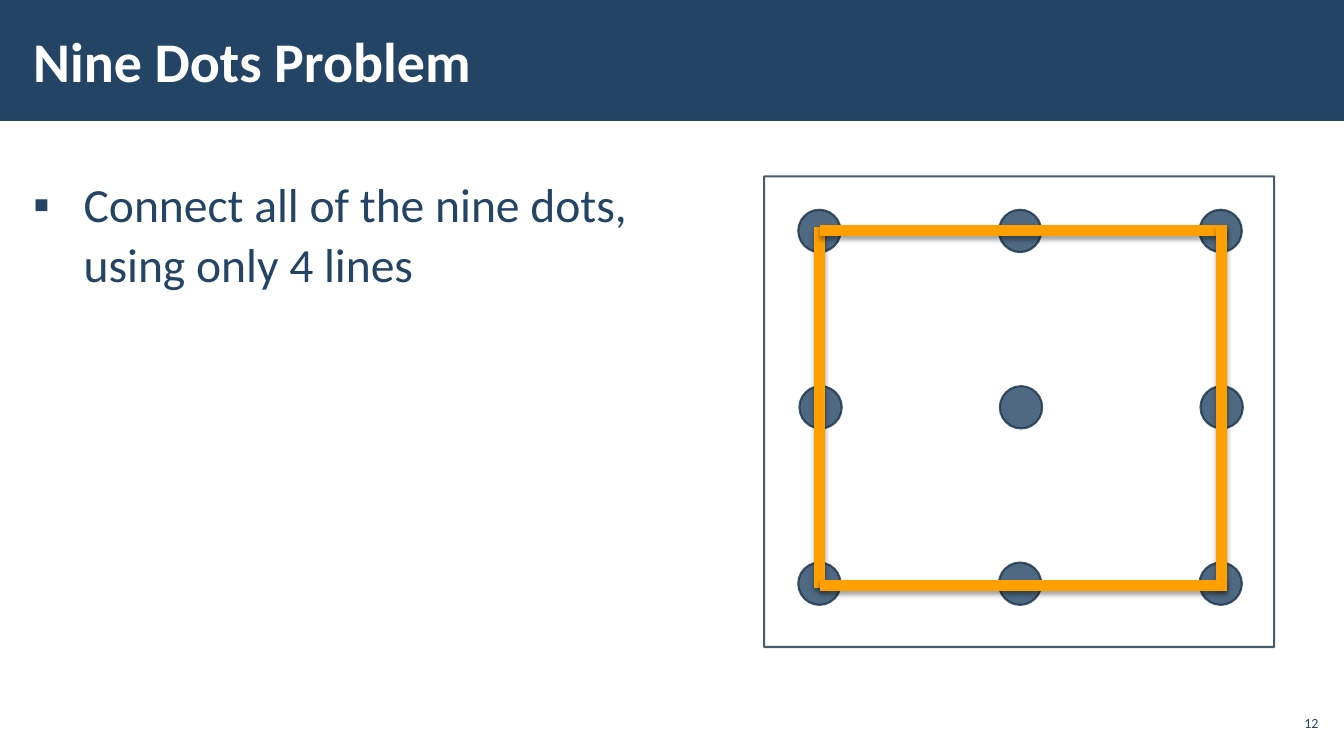
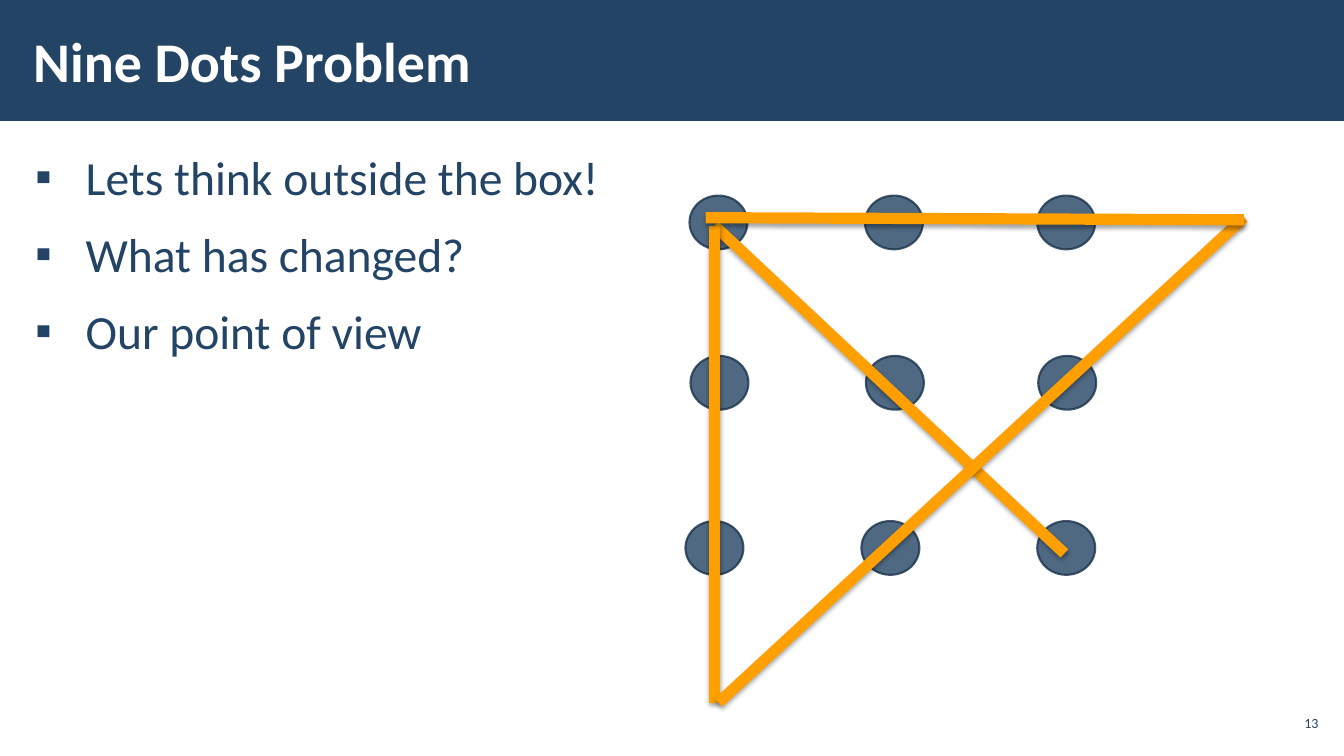
import pptx
import pptx.util
import pptx.dml.color
import pptx.enum.shapes
import pptx.enum.text
import pptx.oxml
import pptx.oxml.ns
import lxml.etree

Pt = pptx.util.Pt
RGBColor = pptx.dml.color.RGBColor
SHAPE = pptx.enum.shapes.MSO_SHAPE
ANCHOR = pptx.enum.text.MSO_ANCHOR
ALIGN = pptx.enum.text.PP_ALIGN
qn = pptx.oxml.ns.qn

NAVY = RGBColor(0x23, 0x44, 0x65)
OUTLINE = RGBColor(0x1A, 0x33, 0x4C)
ORANGE = RGBColor(0xFF, 0xA0, 0x00)
WHITE = RGBColor(0xFF, 0xFF, 0xFF)
FONT = "Calibri"
WIDTH, HEIGHT = 960, 540
BAND_HEIGHT = 86.4
WIDE_INSETS = (8.64, 2.88)
NARROW_INSETS = (2.88, 2.88)

PUZZLES = [
    {
        "title": "Nine Dots Problem",
        "number": "12",
        "bullets": ["Connect all of the nine dots,\vusing only 4 lines"],
        "bullets_at": (15.12, 120.24),
        "dot_size": (30.24, 30.24),
        "dot_rows": [
            (149.8, (570.2, 713.5, 856.8)),
            (275.8, (571, 714.2, 857.5)),
            (401.8, (570.2, 713.5, 856.8)),
        ],
        "box": (545.8, 126, 364.3, 336.2),
        "strokes": [
            (585.4, 419.8, 585.4, 162),
            (876.2, 164.9, 585.4, 164.9),
            (872.6, 419.8, 872.6, 162),
            (876.2, 418.3, 585.4, 418.3),
        ],
    },
    {
        "title": "Nine Dots Problem",
        "number": "13",
        "bullets": ["Lets think outside the box!", "What has changed?", "Our point of view"],
        "bullets_at": (16.56, 100.8),
        "dot_size": (41.4, 38.4),
        "dot_rows": [
            (139.7, (492.5, 617.8, 740.9)),
            (254.2, (493.2, 618.5, 741.6)),
            (372.2, (489.6, 615.3, 740.9)),
        ],
        "box": None,
        "strokes": [
            (760.3, 395.3, 510.5, 161.3),
            (510.5, 161.3, 510.5, 501.8),
            (513.4, 501.8, 888.5, 155.5),
            (888.5, 157, 504, 155.5),
        ],
    },
]


def points(values):
    return [Pt(value) for value in values]


def style_font(paragraph, size, color, bold=False):
    font = paragraph.font
    font.name, font.size, font.bold = FONT, Pt(size), bold
    font.color.rgb = color


def add_text(slide, area, lines, insets, anchor, size, color, bold=False):
    frame = slide.shapes.add_textbox(*points(area)).text_frame
    frame.word_wrap = True
    frame.vertical_anchor = anchor
    frame.margin_left = frame.margin_right = Pt(insets[0])
    frame.margin_top = frame.margin_bottom = Pt(insets[1])
    for index, line in enumerate(lines):
        paragraph = frame.paragraphs[0] if index == 0 else frame.add_paragraph()
        paragraph.text = line
        style_font(paragraph, size, color, bold)
    return frame.paragraphs


def add_bullet(paragraph):
    paragraph.line_spacing = 1.05
    paragraph.space_before = paragraph.space_after = Pt(6)
    properties = paragraph._p.get_or_add_pPr()
    properties.set("marL", str(Pt(36)))
    properties.set("indent", str(Pt(-36)))
    defaults = properties.find(qn("a:defRPr"))
    for tag, key, value in (("a:buFont", "typeface", "Arial"), ("a:buChar", "char", "▪")):
        bullet = lxml.etree.Element(qn(tag))
        bullet.set(key, value)
        defaults.addprevious(bullet)


def make_translucent(fill_format_parent):
    for color in fill_format_parent.findall(qn("a:solidFill") + "/" + qn("a:srgbClr")):
        lxml.etree.SubElement(color, qn("a:alpha")).set("val", "80000")


def add_outlined(slide, kind, area, fill=None):
    shape = slide.shapes.add_shape(kind, *points(area))
    shape.shadow.inherit = False
    if fill is None:
        shape.fill.background()
    else:
        shape.fill.solid()
        shape.fill.fore_color.rgb = fill
    shape.line.color.rgb = OUTLINE
    shape.line.width = Pt(1.5)
    properties = shape._element.spPr
    make_translucent(properties)
    make_translucent(properties.find(qn("a:ln")))


def add_stroke(slide, ends):
    stroke = slide.shapes.add_connector(
        pptx.enum.shapes.MSO_CONNECTOR.STRAIGHT, *points(ends))
    stroke.line.color.rgb = ORANGE
    stroke.line.width = Pt(8)
    effects = lxml.etree.SubElement(stroke._element.spPr, qn("a:effectLst"))
    shadow = lxml.etree.SubElement(effects, qn("a:outerShdw"), {
        "blurRad": str(Pt(3.1)), "dist": str(Pt(1.8)), "dir": "5400000", "rotWithShape": "0"})
    black = lxml.etree.SubElement(shadow, qn("a:srgbClr"), val="000000")
    lxml.etree.SubElement(black, qn("a:alpha"), val="35000")


def add_frame(slide, title, number):
    band = slide.shapes.add_shape(SHAPE.RECTANGLE, *points((0, 0, WIDTH, BAND_HEIGHT)))
    band.shadow.inherit = False
    band.fill.solid()
    band.fill.fore_color.rgb = NAVY
    band.line.fill.background()
    add_text(slide, (15.12, 7.92, 748.8, 69.84), [title], WIDE_INSETS,
             ANCHOR.MIDDLE, 40, WHITE, True)
    page = add_text(slide, (910.8, 504, 33.84, 24.48), [number], NARROW_INSETS,
                    ANCHOR.MIDDLE, 10, NAVY)
    page[0].alignment = ALIGN.RIGHT


def add_puzzle(deck, puzzle):
    slide = deck.slides.add_slide(deck.slide_layouts[6])
    add_frame(slide, puzzle["title"], puzzle["number"])
    for paragraph in add_text(slide, (*puzzle["bullets_at"], 465.12, 383.76),
                              puzzle["bullets"], WIDE_INSETS, ANCHOR.TOP, 34, NAVY):
        add_bullet(paragraph)
    for top, lefts in puzzle["dot_rows"]:
        for left in lefts:
            add_outlined(slide, SHAPE.OVAL, (left, top, *puzzle["dot_size"]), NAVY)
    if puzzle["box"]:
        add_outlined(slide, SHAPE.RECTANGLE, puzzle["box"])
    for ends in puzzle["strokes"]:
        add_stroke(slide, ends)


deck = pptx.Presentation()
deck.slide_width, deck.slide_height = Pt(WIDTH), Pt(HEIGHT)
for puzzle in PUZZLES:
    add_puzzle(deck, puzzle)
deck.save("out.pptx")
